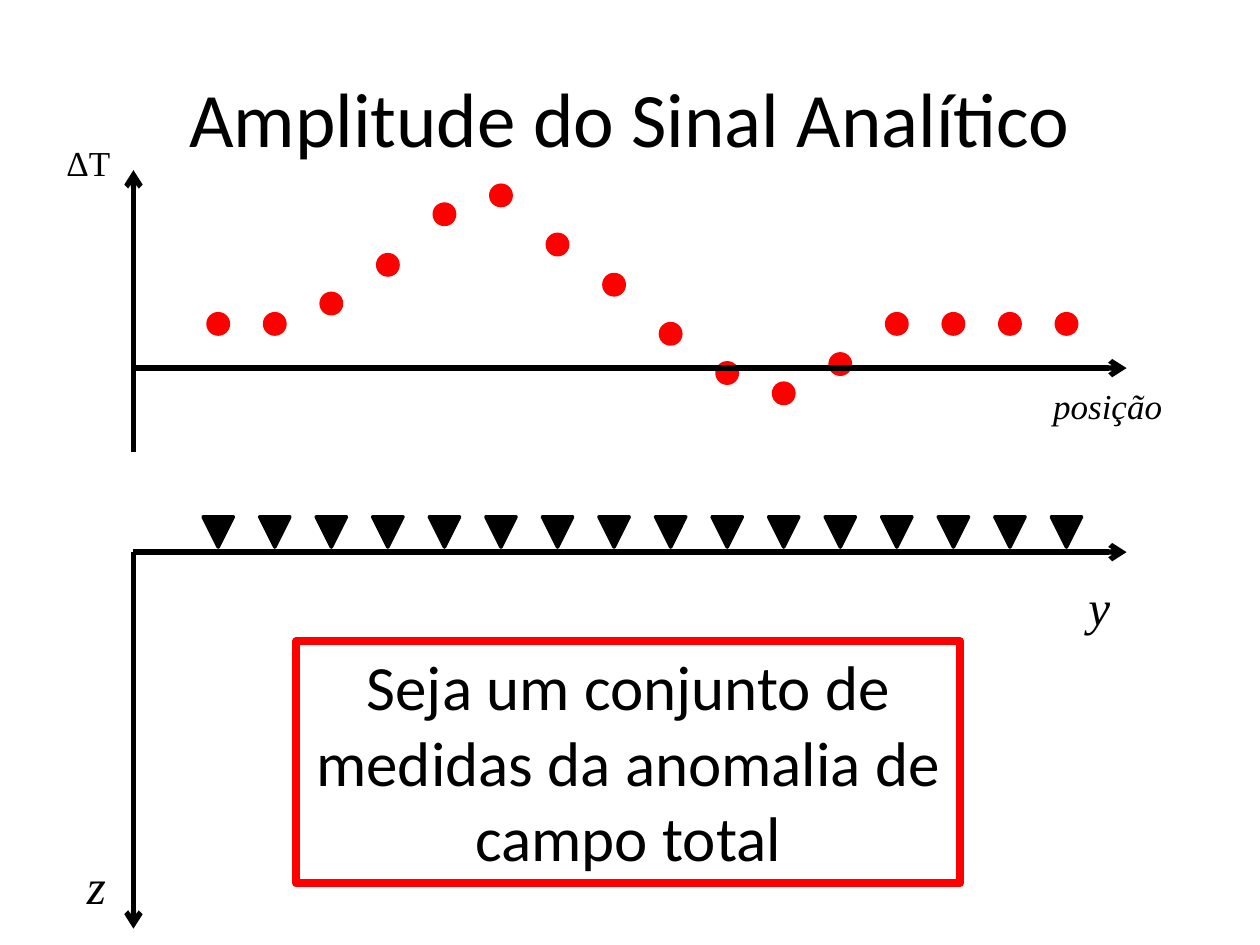
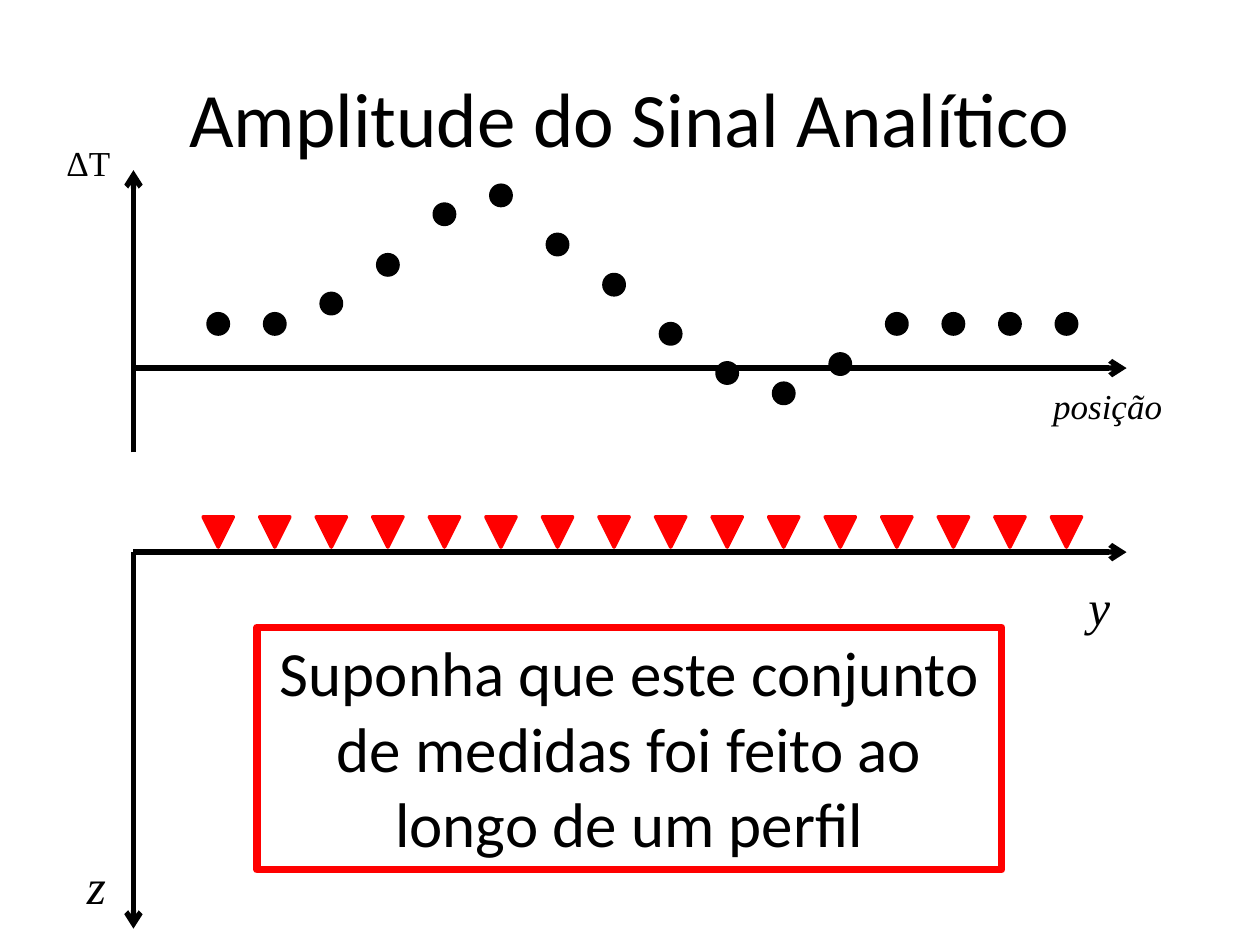
from dataclasses import dataclass

from lxml.etree import SubElement
from pptx import Presentation
from pptx.dml.color import RGBColor
from pptx.enum.shapes import MSO_CONNECTOR, MSO_SHAPE
from pptx.enum.text import MSO_ANCHOR, MSO_AUTO_SIZE, PP_ALIGN
from pptx.oxml.ns import qn
from pptx.util import Cm, Pt


@dataclass(frozen=True)
class Theme:
    ink: RGBColor = RGBColor(0, 0, 0)
    highlight: RGBColor = RGBColor(255, 0, 0)
    body_font: str = "Calibri"
    symbol_font: str = "Times New Roman"
    title_size: int = 44
    message_size: int = 36
    axis_size: int = 28
    small_size: int = 20
    axis_width: float = 3
    marker_width: float = 2
    frame_width: float = 4.5


THEME = Theme()

# Boxes are left, top, width, height in centimetres
TITLE_BOX = (1.27, 0.76, 22.86, 3.18)
ANOMALY_BOX = (2.69, 3.43, 20.02, 5.69)
GROUND_BOX = (2.69, 11.13, 20.02, 7.59)

# Stations along the profile, measured from the left of either plot
FIRST_STATION = 1.71
STATION_STEP = 1.14
ZERO_LEVEL = 3.99
DOT_SIZE = 0.41
SENSOR_SIZE = 0.61
SENSOR_RISE = 0.71
# Height of each measurement above the position axis
ANOMALY = [0.89, 0.89, 1.30, 2.08, 3.10, 3.48, 2.49, 1.68,
           0.69, -0.10, -0.51, 0.08, 0.89, 0.89, 0.89, 0.89]


def add_text(slide, text, box, *, size, font=THEME.body_font, italic=False,
             align=PP_ALIGN.LEFT, anchor=MSO_ANCHOR.TOP, wrap=True, grow=True):
    shape = slide.shapes.add_textbox(*map(Cm, box))
    frame = shape.text_frame
    frame.word_wrap = wrap
    frame.auto_size = MSO_AUTO_SIZE.SHAPE_TO_FIT_TEXT if grow else MSO_AUTO_SIZE.NONE
    frame.vertical_anchor = anchor
    paragraph = frame.paragraphs[0]
    paragraph.alignment = align
    run = paragraph.add_run()
    run.text = text
    run.font.name = font
    run.font.size = Pt(size)
    run.font.italic = italic
    run.font.color.rgb = THEME.ink
    return shape


def add_axis_label(slide, text, box, *, size, italic=True):
    add_text(slide, text, box, size=size, font=THEME.symbol_font,
             italic=italic, wrap=False)


def add_axis(slide, start_x, start_y, end_x, end_y):
    axis = slide.shapes.add_connector(
        MSO_CONNECTOR.STRAIGHT, *map(Cm, (start_x, start_y, end_x, end_y)))
    axis.line.color.rgb = THEME.ink
    axis.line.width = Pt(THEME.axis_width)
    SubElement(axis.line._get_or_add_ln(), qn("a:tailEnd"), type="arrow")
    SubElement(axis._element.spPr, qn("a:effectLst"))


def add_marker(slide, kind, center_x, top, size, color):
    marker = slide.shapes.add_shape(
        kind, *map(Cm, (center_x - size / 2, top, size, size)))
    marker.shadow.inherit = False
    marker.fill.solid()
    marker.fill.fore_color.rgb = color
    marker.line.color.rgb = color
    marker.line.width = Pt(THEME.marker_width)
    return marker


def station_x(left, index):
    return left + FIRST_STATION + index * STATION_STEP


def add_title(slide, box):
    add_text(slide, "Amplitude do Sinal Analítico", box, size=THEME.title_size,
             align=PP_ALIGN.CENTER, anchor=MSO_ANCHOR.MIDDLE, grow=False)


def add_ground_section(slide, box, sensor_color):
    left, top, width, height = box
    # Axes and their names
    add_axis(slide, left, top, left + width, top)
    add_axis(slide, left, top, left, top + height)
    add_axis_label(slide, "z", (left - 1.19, top + 5.99, 0.91, 1.45),
                   size=THEME.axis_size)
    add_axis_label(slide, "y", (left + 19, top + 0.36, 0.97, 1.45),
                   size=THEME.axis_size)
    # Sensors pointing down at the surface
    for index in range(len(ANOMALY)):
        sensor = add_marker(slide, MSO_SHAPE.ISOSCELES_TRIANGLE,
                            station_x(left, index), top - SENSOR_RISE,
                            SENSOR_SIZE, sensor_color)
        sensor._element.spPr.xfrm.set("flipV", "1")


def add_anomaly_plot(slide, box, dot_color):
    left, top, width, height = box
    zero = top + ZERO_LEVEL
    # Anomaly axis
    add_axis(slide, left, top + height, left, top)
    add_axis_label(slide, "ΔT", (left - 1.6, top - 0.71, 1.4, 1.12),
                   size=THEME.small_size, italic=False)
    # Measurements
    for index, value in enumerate(ANOMALY):
        add_marker(slide, MSO_SHAPE.OVAL, station_x(left, index),
                   zero - value - DOT_SIZE / 2, DOT_SIZE, dot_color)
    # Position axis, in front of the measurements
    add_axis(slide, left, zero, left + width, zero)
    add_axis_label(slide, "posição", (left + 18.29, top + 4.19, 2.72, 1.12),
                   size=THEME.small_size)


def add_message(slide, text, box):
    message = add_text(slide, text, box, size=THEME.message_size,
                       align=PP_ALIGN.CENTER)
    message.line.color.rgb = THEME.highlight
    message.line.width = Pt(THEME.frame_width)


def add_profile_slide(presentation, message, message_box, *,
                      dot_color=THEME.ink, sensor_color=THEME.ink):
    slide = presentation.slides.add_slide(presentation.slide_layouts[6])
    add_title(slide, TITLE_BOX)
    add_ground_section(slide, GROUND_BOX, sensor_color)
    add_anomaly_plot(slide, ANOMALY_BOX, dot_color)
    add_message(slide, message, message_box)


def main():
    presentation = Presentation()
    presentation.slide_width = Cm(25.4)
    presentation.slide_height = Cm(19.05)
    add_profile_slide(
        presentation, "Seja um conjunto de medidas da anomalia de campo total",
        (5.97, 12.93, 13.39, 4.88), dot_color=THEME.highlight)
    add_profile_slide(
        presentation,
        "Suponha que este conjunto de medidas foi feito ao longo de um perfil",
        (5.18, 12.65, 15.01, 4.88), sensor_color=THEME.highlight)
    presentation.save("out.pptx")


if __name__ == "__main__":
    main()
